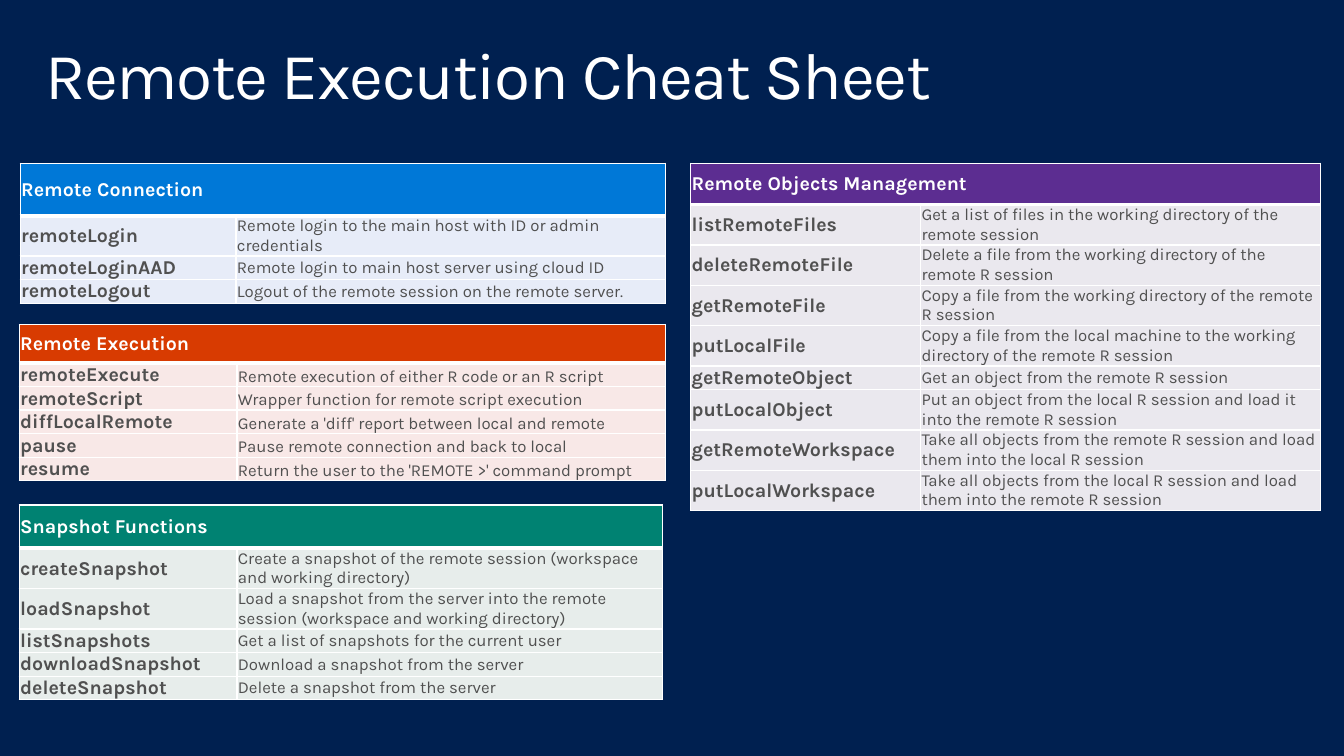
from lxml import etree
from pptx import Presentation
from pptx.dml.color import RGBColor
from pptx.enum.text import MSO_ANCHOR
from pptx.oxml.ns import qn
from pptx.util import Inches, Pt

TOP, MIDDLE, BOTTOM = MSO_ANCHOR.TOP, MSO_ANCHOR.MIDDLE, MSO_ANCHOR.BOTTOM
FONT, WHITE, GREY, NAVY = "Karla", "FFFFFF", "505050", "002050"
ROW_H = 0.2
TITLE = "Remote Execution Cheat Sheet"

TABLES = [
    dict(title="Snapshot Functions", at=(0.19, 5.01), cols=(2.16, 4.22), header_h=0.43,
         dark="008272", light="E7EDEB", anchor=MIDDLE, rows=[
             ("createSnapshot", "Create a snapshot of the remote session (workspace and working directory)"),
             ("loadSnapshot", "Load a snapshot from the server into the remote session (workspace and working directory)"),
             ("listSnapshots", "Get a list of snapshots for the current user"),
             ("downloadSnapshot", "Download a snapshot from the server"),
             ("deleteSnapshot", "Delete a snapshot from the server"),
         ]),
    dict(title="Remote Objects Management", at=(6.85, 1.62), cols=(2.28, 3.97), header_h=0.41,
         dark="5C2D91", light="EAE8EE", anchor=MIDDLE, rows=[
             ("listRemoteFiles", "Get a list of files in the working directory of the remote session"),
             ("deleteRemoteFile", "Delete a file from the working directory of the remote R session"),
             ("getRemoteFile", "Copy a file from the working directory of the remote R session"),
             ("putLocalFile", "Copy a file from the local machine to the working directory of the remote R session"),
             ("getRemoteObject", "Get an object from the remote R session"),
             ("putLocalObject", "Put an object from the local R session and load it into the remote R session"),
             ("getRemoteWorkspace", "Take all objects from the remote R session and load them into the local R session"),
             ("putLocalWorkspace", "Take all objects from the local R session and load them into the remote R session"),
         ]),
    dict(title="Remote Connection", at=(0.2, 1.62), cols=(2.14, 4.26), header_h=0.52,
         dark="0078D7", light="E7ECF8", anchor=MIDDLE, rows=[
             ("remoteLogin", "Remote login to the main host with ID or admin credentials"),
             ("remoteLoginAAD", "Remote login to main host server using cloud ID"),
             ("remoteLogout", "Logout of the remote session on the remote server."),
         ]),
    dict(title="Remote Execution", at=(0.19, 3.22), cols=(2.16, 4.25), header_h=0.38,
         dark="D83B01", light="F8E8E7", anchor=BOTTOM, rows=[
             ("remoteExecute", "Remote execution of either R code or an R script"),
             ("remoteScript", "Wrapper function for remote script execution"),
             ("diffLocalRemote", "Generate a 'diff' report between local and remote"),
             ("pause", "Pause remote connection and back to local"),
             ("resume", "Return the user to the 'REMOTE >' command prompt"),
         ]),
]


def color(value):
    return RGBColor.from_string(value)


def set_attrs(obj, values):
    for name, value in values.items():
        setattr(obj, name, value)


def write(tf, text, size, ink, bold=False):
    p = tf.paragraphs[0]
    r = p.add_run()
    r.text = text
    set_attrs(r.font, dict(name=FONT, size=Pt(size), bold=bold))
    r.font.color.rgb = color(ink)
    return p, r


def add_borders(cell, widths):
    tcPr = cell._tc.get_or_add_tcPr()
    for i, (side, width) in enumerate(widths.items()):
        ln = etree.Element(qn("a:ln" + side), w=str(Pt(width)))
        fill = etree.SubElement(ln, qn("a:solidFill"))
        etree.SubElement(fill, qn("a:srgbClr"), val=WHITE)
        tcPr.insert(i, ln)


def add_sheet(s, title, at, cols, header_h, dark, light, anchor, rows):
    heights = [header_h] + [ROW_H] * len(rows)
    box = (*at, sum(cols), sum(heights))
    table = s.shapes.add_table(len(heights), len(cols), *map(Inches, box)).table
    table.horz_banding = False
    for col, width in zip(table.columns, cols):
        col.width = Inches(width)
    for row, height in zip(table.rows, heights):
        row.height = Inches(height)
    for i, texts in enumerate([(title, "")] + rows):
        header = i == 0
        for j, text in enumerate(texts):
            cell = table.cell(i, j)
            set_attrs(cell, dict(margin_left=Inches(0.01), margin_top=0,
                                 margin_right=Inches(0.01), margin_bottom=0,
                                 vertical_anchor=MIDDLE if header else anchor))
            cell.fill.solid()
            cell.fill.fore_color.rgb = color(dark if header else light)
            add_borders(cell, dict(L=1, R=1, T=3 if i == 1 else 1, B=3 if header else 1))
            if text:
                write(cell.text_frame, text, 14 if j == 0 else 12,
                      WHITE if header else GREY, j == 0)
    table.cell(0, 0).merge(table.cell(0, 1))


def main():
    prs = Presentation()
    set_attrs(prs, dict(slide_width=Inches(13.33), slide_height=Inches(7.5)))
    s = prs.slides.add_slide(prs.slide_layouts[6])
    s.background.fill.solid()
    s.background.fill.fore_color.rgb = color(NAVY)

    sp = s.shapes.add_textbox(*map(Inches, (0.29, 0.32, 12.75, 0.98)))
    tf = sp.text_frame
    set_attrs(tf, dict(word_wrap=True, vertical_anchor=TOP,
                       margin_left=Inches(0.16), margin_right=Inches(0.16),
                       margin_top=Inches(0.1), margin_bottom=Inches(0.1)))
    p, r = write(tf, TITLE, 47, WHITE)
    p.line_spacing = 0.9
    r._r.get_or_add_rPr().set("spc", "-100")

    for sheet in TABLES:
        add_sheet(s, **sheet)
    prs.save("out.pptx")


if __name__ == "__main__":
    main()
